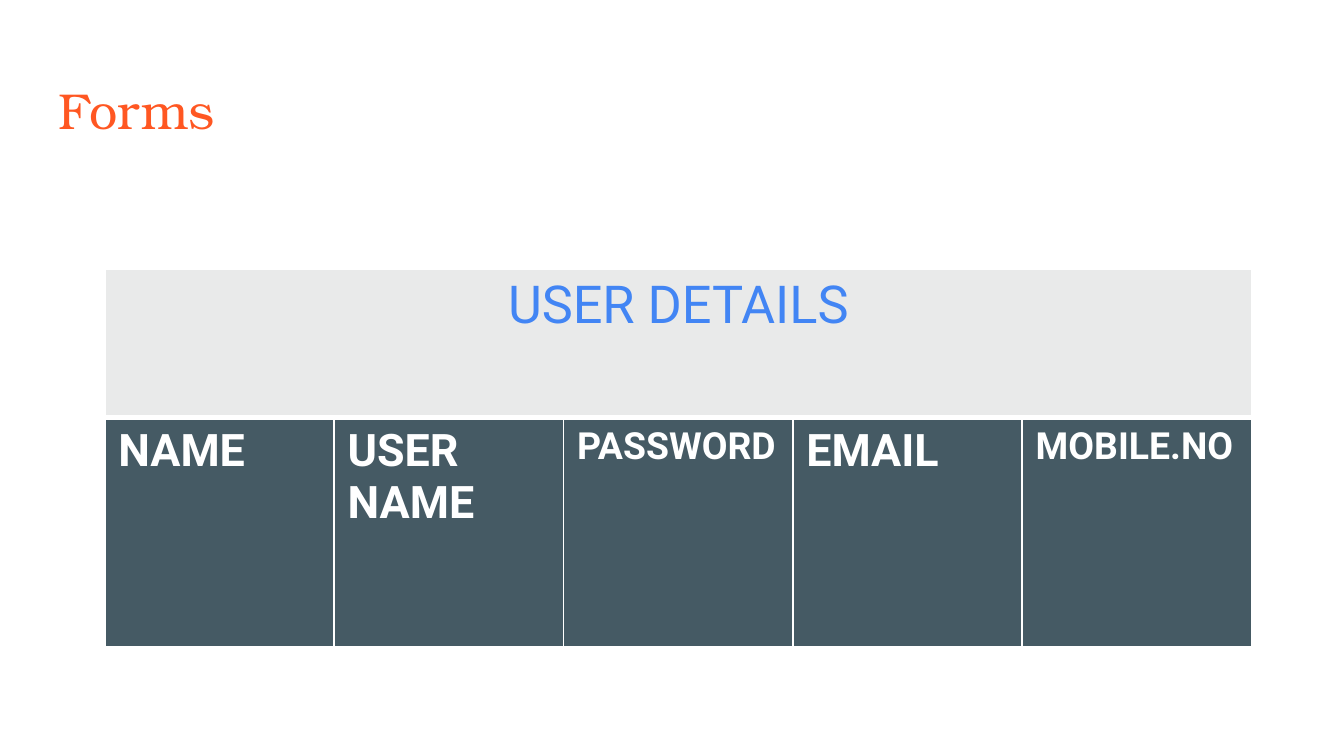
from lxml.etree import SubElement
from pptx import Presentation
from pptx.dml.color import RGBColor
from pptx.enum.text import MSO_ANCHOR as Anchor, PP_ALIGN as Align
from pptx.oxml.ns import qn
from pptx.util import Pt

# Content
TITLE = "Forms"
HEADING = "USER DETAILS"
FIELDS = [("NAME", 24), ("USER NAME", 24), ("PASSWORD", 20), ("EMAIL", 24), ("MOBILE.NO", 20)]

# Format
ORANGE = RGBColor(0xFF, 0x57, 0x22)
BLUE = RGBColor(0x42, 0x85, 0xF4)
WHITE = RGBColor(0xFF, 0xFF, 0xFF)
LIGHT_GRAY = RGBColor(0xE9, 0xEA, 0xEA)
SLATE = RGBColor(0x45, 0x5A, 0x64)
TABLE_LEFT, TABLE_TOP, TABLE_WIDTH = 56.2, 144, 614.4
ROW_HEIGHTS = [79.9, 122.4]


def write(frame, text, *, size, color, font="Roboto", bold=False, align=Align.LEFT):
    para = frame.paragraphs[0]
    para.alignment = align
    span = para.add_run()
    span.text = text
    span.font.name = font
    span.font.size = Pt(size)
    span.font.bold = bold
    span.font.color.rgb = color


def style_cell(cell, fill, top=1, bottom=1):
    cell.fill.solid()
    cell.fill.fore_color.rgb = fill
    properties = cell._tc.get_or_add_tcPr()
    sides = [("a:lnL", 1), ("a:lnR", 1), ("a:lnT", top), ("a:lnB", bottom)]
    # Borders must come before the fill
    for position, (side, width) in enumerate(sides):
        line = SubElement(properties, qn(side), w=str(Pt(width)))
        SubElement(SubElement(line, qn("a:solidFill")), qn("a:srgbClr"), val=str(WHITE))
        properties.insert(position, line)


deck = Presentation()
deck.slide_width, deck.slide_height = Pt(720), Pt(405)
page = deck.slides.add_slide(deck.slide_layouts[6])

# Title
box = page.shapes.add_textbox(Pt(24.5), Pt(35.3), Pt(671), Pt(45.4))
frame = box.text_frame
frame.word_wrap = True
frame.vertical_anchor = Anchor.TOP
frame.margin_left = frame.margin_right = frame.margin_top = frame.margin_bottom = Pt(7.2)
write(frame, TITLE, size=27, color=ORANGE, font="TeX Gyre Bonum")

# Table of form fields under one merged heading
table = page.shapes.add_table(
    len(ROW_HEIGHTS), len(FIELDS),
    Pt(TABLE_LEFT), Pt(TABLE_TOP), Pt(TABLE_WIDTH), Pt(sum(ROW_HEIGHTS)),
).table
for row, height in zip(table.rows, ROW_HEIGHTS):
    row.height = Pt(height)
for column in table.columns:
    column.width = Pt(TABLE_WIDTH / len(FIELDS))

heading = table.cell(0, 0)
heading.merge(table.cell(0, len(FIELDS) - 1))
write(heading.text_frame, HEADING, size=28, color=BLUE, align=Align.CENTER)
for index, (name, size) in enumerate(FIELDS):
    style_cell(table.cell(0, index), LIGHT_GRAY, bottom=3)
    field = table.cell(1, index)
    style_cell(field, SLATE, top=3)
    write(field.text_frame, name, size=size, color=WHITE, bold=True)

deck.save("out.pptx")
